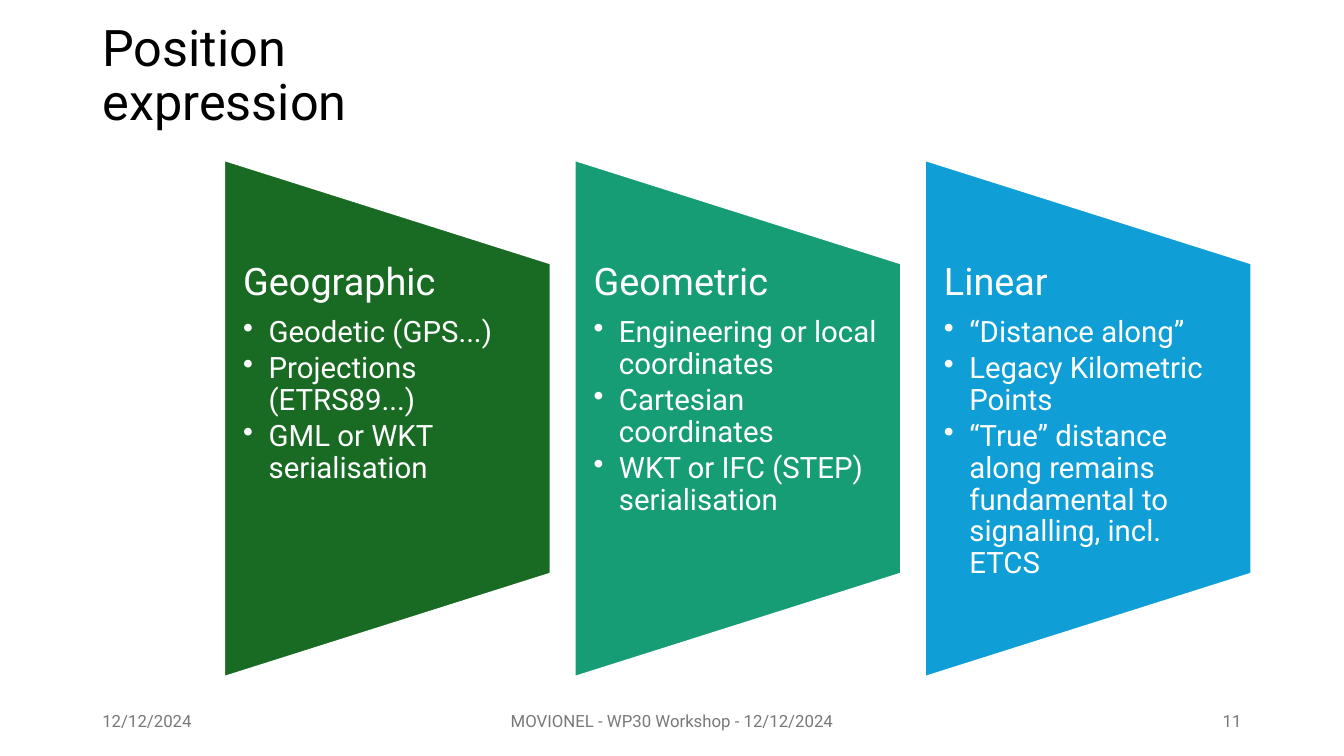
from pptx import Presentation
from pptx.dml import color
from pptx.enum import shapes, text
from pptx.oxml import xmlchemy
from pptx import util as u

FONT = "Roboto"
LEFT = text.PP_ALIGN.LEFT
CENTER = text.PP_ALIGN.CENTER
RIGHT = text.PP_ALIGN.RIGHT
PITCH = 8.83
WIDE = 8.23
TALL = 13.03

PANELS = [
    ("Geographic", "196B24",
     ["Geodetic (GPS...)", "Projections (ETRS89...)", "GML or WKT serialisation"]),
    ("Geometric", "179D76",
     ["Engineering or local coordinates", "Cartesian coordinates",
      "WKT or IFC (STEP) serialisation"]),
    ("Linear", "0F9ED5",
     ["“Distance along”", "Legacy Kilometric Points",
      "“True” distance along remains fundamental to signalling, incl. ETCS"]),
]

FOOTER = [
    ("12/12/2024", 2.33, 7.62, LEFT),
    ("MOVIONEL - WP30 Workshop - 12/12/2024", 11.22, 11.43, CENTER),
    ("11", 23.92, 7.62, RIGHT),
]


def rgb(code):
    return color.RGBColor.from_string(code)


def place(item, left, top, width, height):
    item.left, item.top = u.Cm(left), u.Cm(top)
    item.width, item.height = u.Cm(width), u.Cm(height)


def style(para, size, code, align=LEFT):
    para.font.name = FONT
    para.font.size = u.Pt(size)
    para.font.color.rgb = rgb(code)
    para.alignment = align


def bullet(para):
    props = para._p.get_or_add_pPr()
    indent = u.Cm(0.64)
    props.set("marL", str(indent))
    props.set("indent", str(-indent))
    mark = xmlchemy.OxmlElement("a:buChar")
    mark.set("char", "•")
    props.append(mark)


def add_title(slide, words):
    title = slide.shapes.title
    place(title, 2.33, 1.02, 10.59, 1.85)
    frame = title.text_frame
    frame.text = words
    frame.auto_size = text.MSO_AUTO_SIZE.NONE
    frame.vertical_anchor = text.MSO_ANCHOR.MIDDLE
    para = frame.paragraphs[0]
    style(para, 36, "000000")
    para.line_spacing = 0.9


def add_box(slide, left, top, width, height):
    box = slide.shapes.add_textbox(u.Cm(left), u.Cm(top), u.Cm(width), u.Cm(height))
    box.text_frame.word_wrap = True
    return box.text_frame


def add_panel(slide, index, head, fill, items):
    shift = index * PITCH
    shape = slide.shapes.add_shape(
        shapes.MSO_SHAPE.FLOWCHART_MANUAL_OPERATION,
        u.Cm(3.25 + shift), u.Cm(6.43), u.Cm(TALL), u.Cm(WIDE))
    shape.rotation = 270
    shape.shadow.inherit = False
    shape.fill.solid()
    shape.fill.fore_color.rgb = rgb(fill)
    shape.line.color.rgb = rgb("FFFFFF")
    shape.line.width = u.Pt(1.5)

    frame = add_box(slide, 5.65 + shift, 6.63, WIDE, 7.82)
    frame.margin_left = frame.margin_right = u.Cm(0.48)
    frame.margin_top = frame.margin_bottom = 0
    frame.text = "\n".join([head] + items)
    for number, para in enumerate(frame.paragraphs):
        style(para, 21 if number else 27, "FFFFFF")
        para.line_spacing = 0.9
        para.space_after = u.Pt(3.15 if number else 9.45)
        if number:
            para.level = 1
            bullet(para)


def add_footer(slide, words, left, width, align):
    frame = add_box(slide, left, 17.65, width, 1.02)
    frame.vertical_anchor = text.MSO_ANCHOR.MIDDLE
    frame.text = words
    style(frame.paragraphs[0], 12, "797979", align)


def main():
    deck = Presentation()
    deck.slide_width, deck.slide_height = u.Cm(33.87), u.Cm(19.05)
    slide = deck.slides.add_slide(deck.slide_layouts[5])
    add_title(slide, "Position expression")
    for index, panel in enumerate(PANELS):
        add_panel(slide, index, *panel)
    for part in FOOTER:
        add_footer(slide, *part)
    deck.save("out.pptx")


if __name__ == "__main__":
    main()
